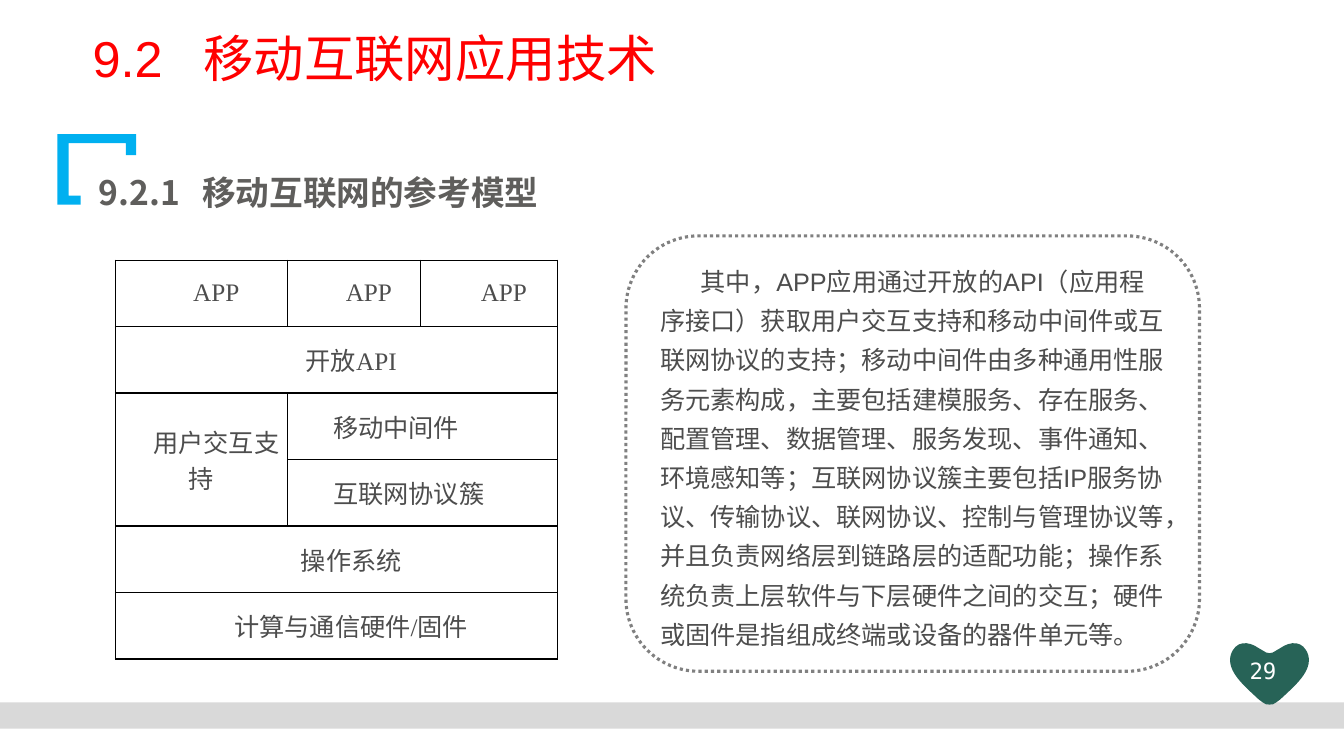
from lxml import etree
from pptx import Presentation
from pptx.dml.color import RGBColor
from pptx.enum import dml, shapes, text
from pptx.oxml import ns
from pptx.util import Pt

# Content
TITLE = "9.2\t移动互联网应用技术"
SUBTITLE = "9.2.1\t移动互联网的参考模型"
PAGE_NUMBER = "29"
BODY = (
    "其中，APP应用通过开放的API（应用程序接口）获取用户交互支持和移动中间件或互联网协议的支持；"
    "移动中间件由多种通用性服务元素构成，主要包括建模服务、存在服务、配置管理、数据管理、服务发现、"
    "事件通知、环境感知等；互联网协议簇主要包括IP服务协议、传输协议、联网协议、控制与管理协议等，"
    "并且负责网络层到链路层的适配功能；操作系统负责上层软件与下层硬件之间的交互；"
    "硬件或固件是指组成终端或设备的器件单元等。"
)
# Layers of the model: row, column, row span, column span, wording
LAYERS = [
    (0, 0, 1, 1, "APP"),
    (0, 1, 1, 1, "APP"),
    (0, 2, 1, 1, "APP"),
    (1, 0, 1, 3, "开放API"),
    (2, 0, 2, 1, "用户交互支持"),
    (2, 1, 1, 2, "移动中间件"),
    (3, 1, 1, 2, "互联网协议簇"),
    (4, 0, 1, 3, "操作系统"),
    (5, 0, 1, 3, "计算与通信硬件/固件"),
]
COLUMN_WIDTHS = [123.1, 95, 97.9]
ROW_HEIGHT, ROW_COUNT = 47.5, 6

COLORS = {
    "title": "FF0000", "subtitle": "5F5E5C", "text": "4D4D4D", "white": "FFFFFF",
    "bracket": "00B0F0", "bar": "D9D9D9", "heart": "276357",
    "frame": "808080", "border": "000000",
}
CJK_FONT = "Noto Sans CJK SC"

# Outlines in points
BRACKET = [(41, 95.8), (97.2, 95.8), (97.2, 110.9), (90, 110.9), (90, 102.2),
           (49, 102.2), (49, 139.7), (57.6, 139.7), (57.6, 146.2), (41, 146.2)]
HEART_LEFT, HEART_TOP, HEART_WIDTH, HEART_HEIGHT = 876.2, 457.2, 61.2, 46.1
HEART_NOTCH = (0, 9.4)
HEART_CURVES = [  # right half, from the notch down to the tip
    ((1.8, 9.4), (3.2, 8.6), (4.1, 7.9)),
    ((4.1, 7.9), (7.7, 5.8), (7.7, 5.8)),
    ((14.9, 0.7), (24.3, 0), (27.7, 10.8)),
    ((30.7, 22.3), (18.4, 32.4), (7.6, 42.5)),
    ((7.6, 42.5), (4.7, 44.6), (4.7, 44.6)),
    ((3.2, 46.1), (1.8, 46.1), (0, 46.1)),
]


def color(name):
    return RGBColor.from_string(COLORS[name])


def style(para, font, size, tint, bold=False):
    for span in para.runs:
        span.font.name, span.font.size, span.font.bold = font, Pt(size), bold
        span.font.color.rgb = color(tint)
        properties = span.font._element
        properties.set("lang", "zh-CN")
        latin = properties.find(ns.qn("a:latin"))
        latin.addnext(latin.makeelement(ns.qn("a:ea"), {"typeface": CJK_FONT}))


def add_tab_stop(para, position):
    stops = etree.SubElement(para._p.get_or_add_pPr(), ns.qn("a:tabLst"))
    etree.SubElement(stops, ns.qn("a:tab"), pos=str(Pt(position)), algn="l")


def set_indent(para, indent):
    properties = para._p.get_or_add_pPr()
    properties.set("marL", "0")
    properties.set("indent", str(Pt(indent)))


def add_text(page, wording, left, top, width, height):
    box = page.shapes.add_textbox(Pt(left), Pt(top), Pt(width), Pt(height))
    box.text_frame.word_wrap = True
    box.text_frame.text = wording
    return box.text_frame.paragraphs[0]


def paint(shape, fill):
    shape.shadow.inherit = False
    shape.fill.solid()
    shape.fill.fore_color.rgb = color(fill)
    shape.line.fill.background()


def add_outline(page, points, fill):
    points = [(Pt(x), Pt(y)) for x, y in points]
    builder = page.shapes.build_freeform(*points[0], scale=1.0)
    builder.add_line_segments(points[1:], close=True)
    outline = builder.convert_to_shape()
    paint(outline, fill)
    return outline


def add_heart(page):
    # The left half runs back up as the mirror of the right half
    starts = [HEART_NOTCH] + [curve[-1] for curve in HEART_CURVES[:-1]]
    mirrored = [tuple((-x, y) for x, y in (second, first, start))
                for start, (first, second, _) in zip(starts, HEART_CURVES)]
    curves = HEART_CURVES + mirrored[::-1]
    nodes = [HEART_NOTCH] + [curve[-1] for curve in curves]
    heart = add_outline(page, nodes, "heart")
    heart.left, heart.top = Pt(HEART_LEFT), Pt(HEART_TOP)
    heart.width, heart.height = Pt(HEART_WIDTH), Pt(HEART_HEIGHT)

    # Bend the outline into Bezier curves
    outline = heart._element.find(".//" + ns.qn("a:path"))
    outline.set("w", str(Pt(HEART_WIDTH)))
    outline.set("h", str(Pt(HEART_HEIGHT)))
    for child in list(outline):
        outline.remove(child)
    steps = [("a:moveTo", [HEART_NOTCH])] + [("a:cubicBezTo", curve) for curve in curves]
    for tag, points in steps:
        step = etree.SubElement(outline, ns.qn(tag))
        for x, y in points:
            etree.SubElement(step, ns.qn("a:pt"), x=str(Pt(HEART_WIDTH / 2 + x)), y=str(Pt(y)))
    etree.SubElement(outline, ns.qn("a:close"))


def set_borders(cell):
    properties = cell._tc.get_or_add_tcPr()
    for place, side in enumerate(("lnL", "lnR", "lnT", "lnB")):
        line = etree.Element(ns.qn("a:" + side), w=str(Pt(1)))
        fill = etree.SubElement(line, ns.qn("a:solidFill"))
        etree.SubElement(fill, ns.qn("a:srgbClr"), val=COLORS["border"])
        properties.insert(place, line)


def add_model(page):
    table = page.shapes.add_table(ROW_COUNT, len(COLUMN_WIDTHS), Pt(82.4), Pt(185.8),
                                  Pt(sum(COLUMN_WIDTHS)), Pt(ROW_HEIGHT * ROW_COUNT)).table
    table.first_row = table.horz_banding = False
    for column, width in zip(table.columns, COLUMN_WIDTHS):
        column.width = Pt(width)
    for row in table.rows:
        row.height = Pt(ROW_HEIGHT)
    for cell in table.iter_cells():
        cell.fill.background()
        set_borders(cell)
    for row, column, rows, columns, wording in LAYERS:
        cell = table.cell(row, column)
        if rows * columns > 1:
            cell.merge(table.cell(row + rows - 1, column + columns - 1))
        cell.text_frame.text = wording
        cell.vertical_anchor = text.MSO_ANCHOR.MIDDLE
        cell.margin_left = cell.margin_right = Pt(5)
        cell.margin_top = cell.margin_bottom = 0
        para = cell.text_frame.paragraphs[0]
        justified = columns == 2
        para.alignment = text.PP_ALIGN.JUSTIFY if justified else text.PP_ALIGN.CENTER
        set_indent(para, 27.4 if justified else 21)
        style(para, "Times New Roman", 18, "text")


def main():
    deck = Presentation()
    deck.slide_width, deck.slide_height = Pt(960), Pt(540)
    page = deck.slides.add_slide(deck.slide_layouts[5])

    # Decoration
    add_outline(page, BRACKET, "bracket")
    bar = page.shapes.add_shape(shapes.MSO_SHAPE.RECTANGLE, 0, Pt(501.8), Pt(960), Pt(18.7))
    paint(bar, "bar")
    add_heart(page)
    number = add_text(page, PAGE_NUMBER, 877, 465.8, 50.4, 28)
    number.alignment = text.PP_ALIGN.CENTER
    style(number, "DejaVu Sans Mono", 16, "white")

    # Title and subtitle
    title = page.shapes.title
    title.left, title.top, title.width, title.height = Pt(59), Pt(20.9), Pt(662.4), Pt(67.7)
    title.text_frame.text = TITLE
    title.text_frame.vertical_anchor = text.MSO_ANCHOR.TOP
    heading = title.text_frame.paragraphs[0]
    heading.alignment = text.PP_ALIGN.LEFT
    heading.line_spacing = Pt(38)
    add_tab_stop(heading, 79)
    style(heading, "Arial", 36, "title")
    subtitle = add_text(page, SUBTITLE, 63.4, 110.2, 455, 41)
    subtitle.line_spacing = Pt(38)
    add_tab_stop(subtitle, 74)
    style(subtitle, CJK_FONT, 24, "subtitle", bold=True)

    # Reference model
    add_model(page)

    # Explanation in a dotted frame
    body = add_text(page, BODY, 464.5, 180.3, 376.6, 288)
    body.line_spacing = Pt(28)
    set_indent(body, 29)
    style(body, "Arial", 18, "text")
    frame = page.shapes.add_shape(shapes.MSO_SHAPE.ROUNDED_RECTANGLE,
                                  Pt(447.1), Pt(168.5), Pt(409.7), Pt(311))
    frame.shadow.inherit = False
    frame.fill.background()
    frame.line.color.rgb = color("frame")
    frame.line.width = Pt(2.25)
    frame.line.dash_style = dml.MSO_LINE.ROUND_DOT

    deck.save("out.pptx")


if __name__ == "__main__":
    main()
